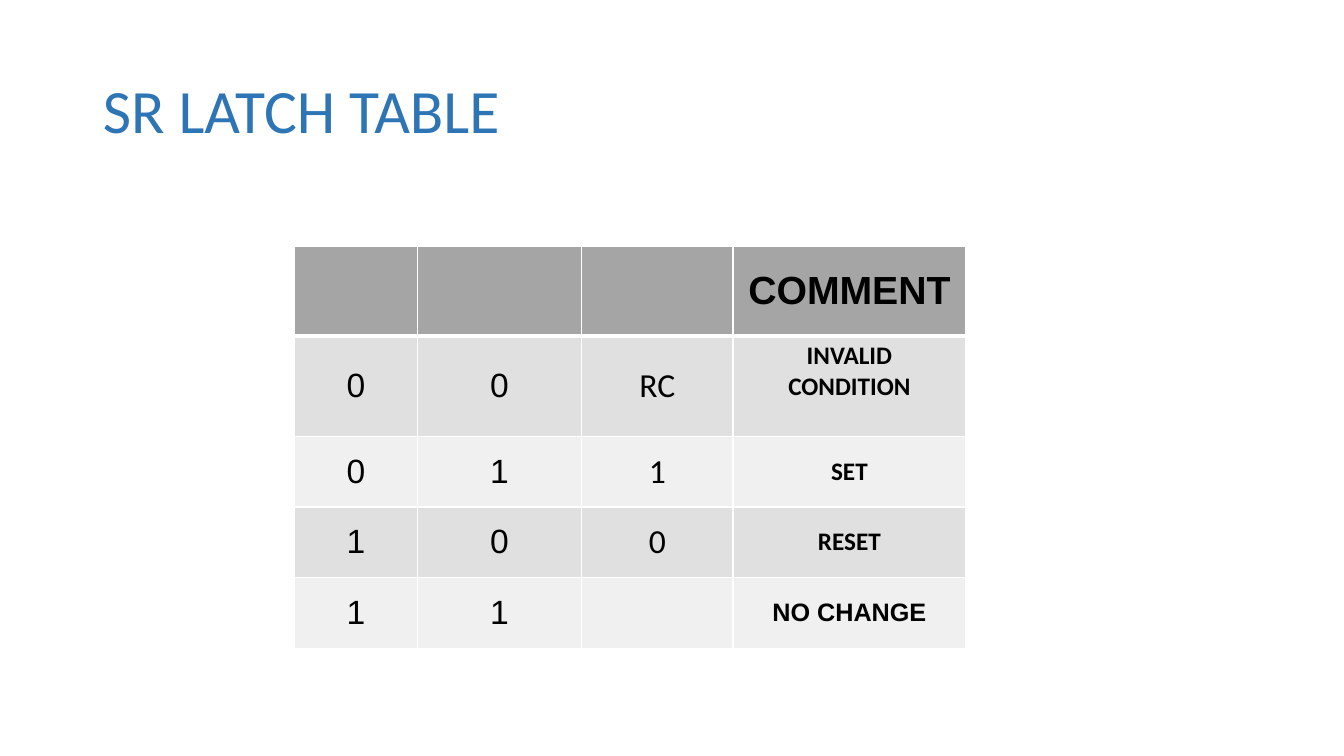
from dataclasses import dataclass

from lxml.etree import SubElement
from pptx import Presentation
from pptx.dml.color import RGBColor as RGB
from pptx.enum.text import MSO_ANCHOR as ANCHOR, PP_ALIGN as ALIGN
from pptx.oxml.ns import qn
from pptx.util import Inches, Pt


@dataclass(frozen=True)
class Theme:
    title: str = "2E75B5"
    text: str = "000000"
    header: str = "A5A5A5"
    bands: tuple = ("E0E0E0", "F0F0F0")
    border: str = "FFFFFF"
    sans: str = "Calibri"
    arial: str = "Arial"
    title_size: int = 44
    header_size: int = 28
    value_size: int = 24
    comment_size: int = 18


THEME = Theme()
SLIDE_SIZE = (13.33, 7.5)
TITLE_BOX = (0.92, 0.4, 11.5, 1.45)
TABLE_BOX = (2.92, 2.44, 6.66, 3.99)
COLUMN_WIDTHS = (1.22, 1.63, 1.5, 2.31)
ROW_HEIGHTS = (0.89, 1, 0.7, 0.7, 0.7)
LATCH_ROWS = (
    ("", "", "", "COMMENT"),
    ("0", "0", "RC", "INVALID CONDITION"),
    ("0", "1", "1", "SET"),
    ("1", "0", "0", "RESET"),
    ("1", "1", "", "NO CHANGE"),
)


def format_font(font, color, **values):
    for name, value in values.items():
        setattr(font, name, value)
    font.color.rgb = RGB.from_string(color)


def add_title(slide, box, text):
    title = slide.shapes.title
    for name, length in zip(("left", "top", "width", "height"), box):
        setattr(title, name, Inches(length))
    frame = title.text_frame
    frame.text = text
    frame.vertical_anchor = ANCHOR.MIDDLE
    paragraph = frame.paragraphs[0]
    paragraph.alignment = ALIGN.LEFT
    paragraph.line_spacing = 0.9
    format_font(paragraph.font, THEME.title, name=THEME.sans, size=Pt(THEME.title_size))


def set_borders(cell, **widths):
    properties = cell._tc.get_or_add_tcPr()
    for side in "LRTB":
        line = SubElement(properties, qn(f"a:ln{side}"), w=str(Pt(widths.get(side, 1))))
        fill = SubElement(line, qn("a:solidFill"))
        SubElement(fill, qn("a:srgbClr"), val=THEME.border)


def cell_font(row, column):
    """Type size, weight and face follow the role of the cell."""
    is_comment = column == 3
    size = THEME.comment_size if is_comment else THEME.value_size
    if row == 0:
        size = THEME.header_size
    is_arial = column < 2 or (is_comment and row in (0, 4))
    face = THEME.arial if is_arial else THEME.sans
    return {"name": face, "size": Pt(size), "bold": is_comment}


def format_cell(cell, row, column, text):
    # The rule under the header is heavier than the others
    set_borders(cell, T=3 if row == 1 else 1, B=3 if row == 0 else 1)
    cell.fill.solid()
    color = THEME.bands[(row - 1) % 2] if row else THEME.header
    cell.fill.fore_color.rgb = RGB.from_string(color)
    cell.vertical_anchor = ANCHOR.TOP if (row, column) == (1, 3) else ANCHOR.MIDDLE
    if text:
        cell.text = text
        paragraph = cell.text_frame.paragraphs[0]
        paragraph.alignment = ALIGN.CENTER
        format_font(paragraph.runs[0].font, THEME.text, **cell_font(row, column))


def add_latch_table(slide, box, rows):
    frame = slide.shapes.add_table(len(rows), len(rows[0]), *map(Inches, box))
    table = frame.table
    # Column and row sizes are shares of the box
    for column, width in zip(table.columns, COLUMN_WIDTHS):
        column.width = Inches(box[2] * width / sum(COLUMN_WIDTHS))
    for row, height in zip(table.rows, ROW_HEIGHTS):
        row.height = Inches(box[3] * height / sum(ROW_HEIGHTS))
    for row, texts in enumerate(rows):
        for column, text in enumerate(texts):
            format_cell(table.cell(row, column), row, column, text)


def main():
    presentation = Presentation()
    presentation.slide_width, presentation.slide_height = map(Inches, SLIDE_SIZE)
    slide = presentation.slides.add_slide(presentation.slide_layouts[5])
    add_title(slide, TITLE_BOX, "SR LATCH TABLE")
    add_latch_table(slide, TABLE_BOX, LATCH_ROWS)
    presentation.save("out.pptx")


if __name__ == "__main__":
    main()
